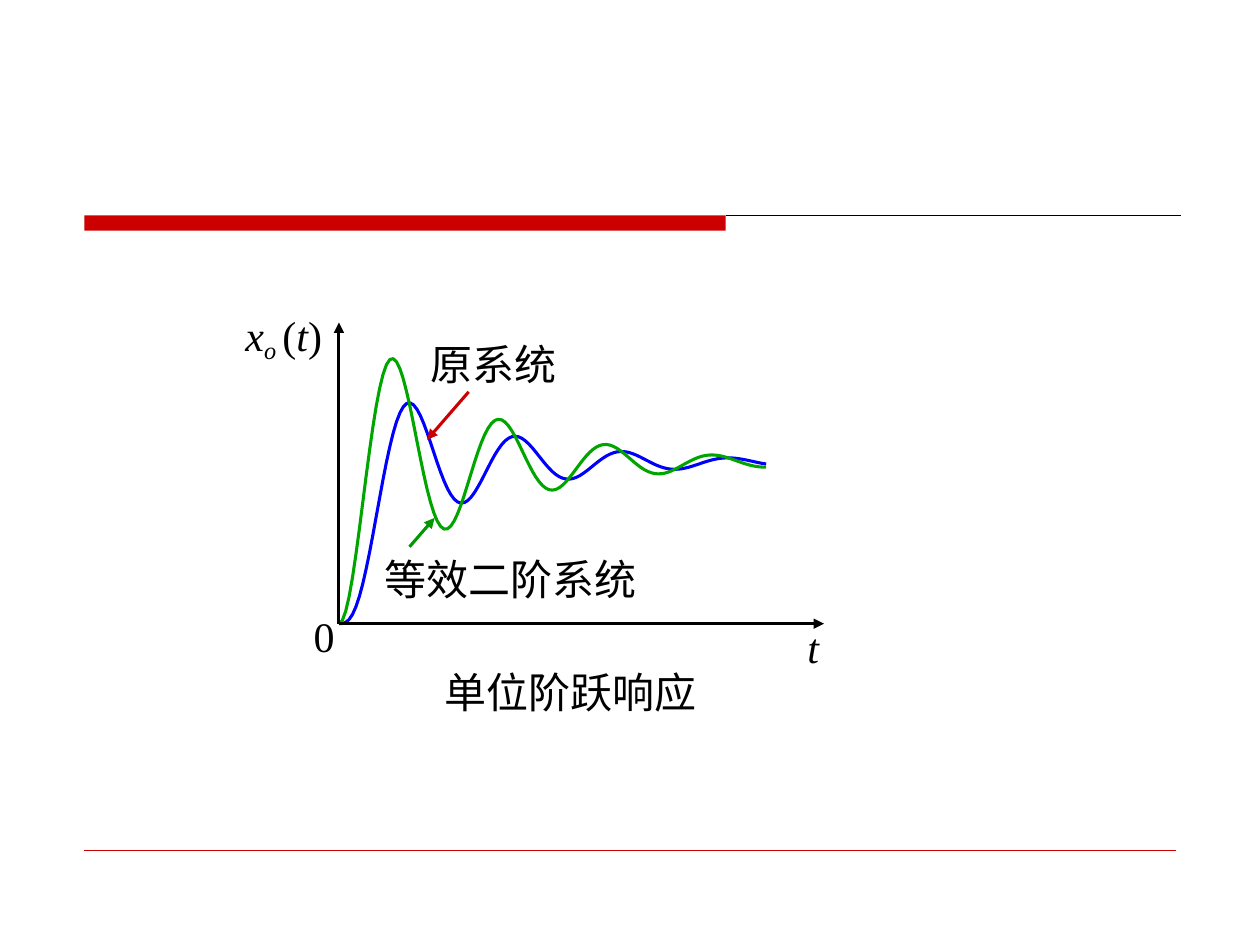
import math
import pptx
import pptx.util
import pptx.dml.color
import pptx.enum.shapes
import pptx.enum.text
import pptx.oxml
import pptx.oxml.ns

Inches = pptx.util.Inches
Pt = pptx.util.Pt

FONT = "Times New Roman"
COLORS = {
    "red": "CC0000",
    "blue": "0000FF",
    "green": "00A500",
    "leaf": "009900",
    "black": "000000",
}

FINAL = 1.28
DECAY = 1.04
OMEGA = 7.43
POLE = 6.3
SPAN = 3.39
STEPS = 126


def reduced(time):
    swing = math.cos(OMEGA * time) + DECAY / OMEGA * math.sin(OMEGA * time)
    return FINAL * (1 - math.exp(-DECAY * time) * swing)


def actual(time):
    gap = POLE - DECAY
    radius = math.hypot(gap, OMEGA)
    natural = math.hypot(DECAY, OMEGA)
    lag = math.atan2(DECAY, OMEGA) + math.atan2(OMEGA, gap)
    gain = POLE / radius * natural / OMEGA
    swing = gain * math.exp(-DECAY * time) * math.cos(OMEGA * time - lag)
    fade = (natural / radius) ** 2 * math.exp(-POLE * time)
    return FINAL * (1 - swing - fade)


def color(name):
    return pptx.dml.color.RGBColor.from_string(COLORS[name])


def add_line(slide, start, end, tint, weight, arrow=False):
    line = slide.shapes.add_connector(
        pptx.enum.shapes.MSO_CONNECTOR.STRAIGHT,
        *(Inches(value) for value in (*start, *end)))
    line.line.color.rgb = color(tint)
    line.line.width = Pt(weight)
    space = pptx.oxml.ns.nsdecls("a")
    if arrow:
        head = pptx.oxml.parse_xml(f'<a:tailEnd {space} type="triangle"/>')
        line.line._get_or_add_ln().append(head)
    line._element.spPr.append(pptx.oxml.parse_xml(f'<a:effectLst {space}/>'))


def add_label(slide, left, top, width, parts):
    box = slide.shapes.add_textbox(
        Inches(left), Inches(top), Inches(width), Inches(0.5))
    frame = box.text_frame
    frame.word_wrap = False
    frame.auto_size = pptx.enum.text.MSO_AUTO_SIZE.SHAPE_TO_FIT_TEXT
    para = frame.paragraphs[0]
    para.font.name = FONT
    para.font.size = Pt(24)
    para.font.color.rgb = color("black")
    for text, style in parts:
        run = para.add_run()
        run.text = text
        if style != "plain":
            run.font.italic = True
        if style == "sub":
            run._r.get_or_add_rPr().set("baseline", "-18000")


def add_curve(slide, left, base, response, tint):
    times = [SPAN * step / STEPS for step in range(STEPS + 1)]
    points = [(Inches(left + time), Inches(base - response(time)))
              for time in times]
    pen = slide.shapes.build_freeform(*points[0])
    pen.add_line_segments(points[1:], close=False)
    curve = pen.convert_to_shape()
    curve.shadow.inherit = False
    curve.fill.background()
    curve.line.color.rgb = color(tint)
    curve.line.width = Pt(1.75)


def add_frame(slide, left, top, width, height):
    split = 5.09
    bar = slide.shapes.add_shape(
        pptx.enum.shapes.MSO_SHAPE.RECTANGLE,
        Inches(left), Inches(top), Inches(split), Inches(0.12))
    bar.shadow.inherit = False
    bar.fill.solid()
    bar.fill.fore_color.rgb = color("red")
    bar.line.fill.background()
    add_line(slide, (left + split, top), (left + width, top), "black", 0.75)
    base = top + height
    add_line(slide, (left, base), (left + 8.66, base), "red", 0.25)


def add_plot(slide, left, top, width, height):
    for response, tint in ((actual, "blue"), (reduced, "green")):
        add_curve(slide, left, top + height, response, tint)

    origin = (0, height)
    arrows = [
        (origin, (width, height), "black"),
        (origin, (0, 0), "black"),
        ((1.03, 0.55), (0.7, 0.93), "red"),
        ((0.56, 1.78), (0.76, 1.55), "leaf"),
    ]
    for start, end, tint in arrows:
        add_line(slide, (left + start[0], top + start[1]),
                 (left + end[0], top + end[1]), tint, 1.75, True)

    output = [("x", "italic"), ("o ", "sub"), ("(", "plain"),
              ("t", "italic"), (")", "plain")]
    labels = [
        (3.62, 2.32, 0.29, [("t", "italic")]),
        (-0.84, -0.15, 0.83, output),
        (-0.3, 2.24, 0.37, [("0", "plain")]),
        (0.63, 0.08, 1.2, [("原系统", "plain")]),
        (0.26, 1.78, 2.2, [("等效二阶系统", "plain")]),
        (0.74, 2.68, 2.2, [("单位阶跃响应", "plain")]),
    ]
    for across, down, wide, parts in labels:
        add_label(slide, left + across, top + down, wide, parts)


def main():
    deck = pptx.Presentation()
    deck.slide_width = Inches(10)
    deck.slide_height = Inches(7.5)
    slide = deck.slides.add_slide(deck.slide_layouts[6])
    add_frame(slide, 0.67, 1.71, 8.7, 5.04)
    add_plot(slide, 2.69, 2.56, 3.85, 2.39)
    deck.save("out.pptx")


if __name__ == "__main__":
    main()
